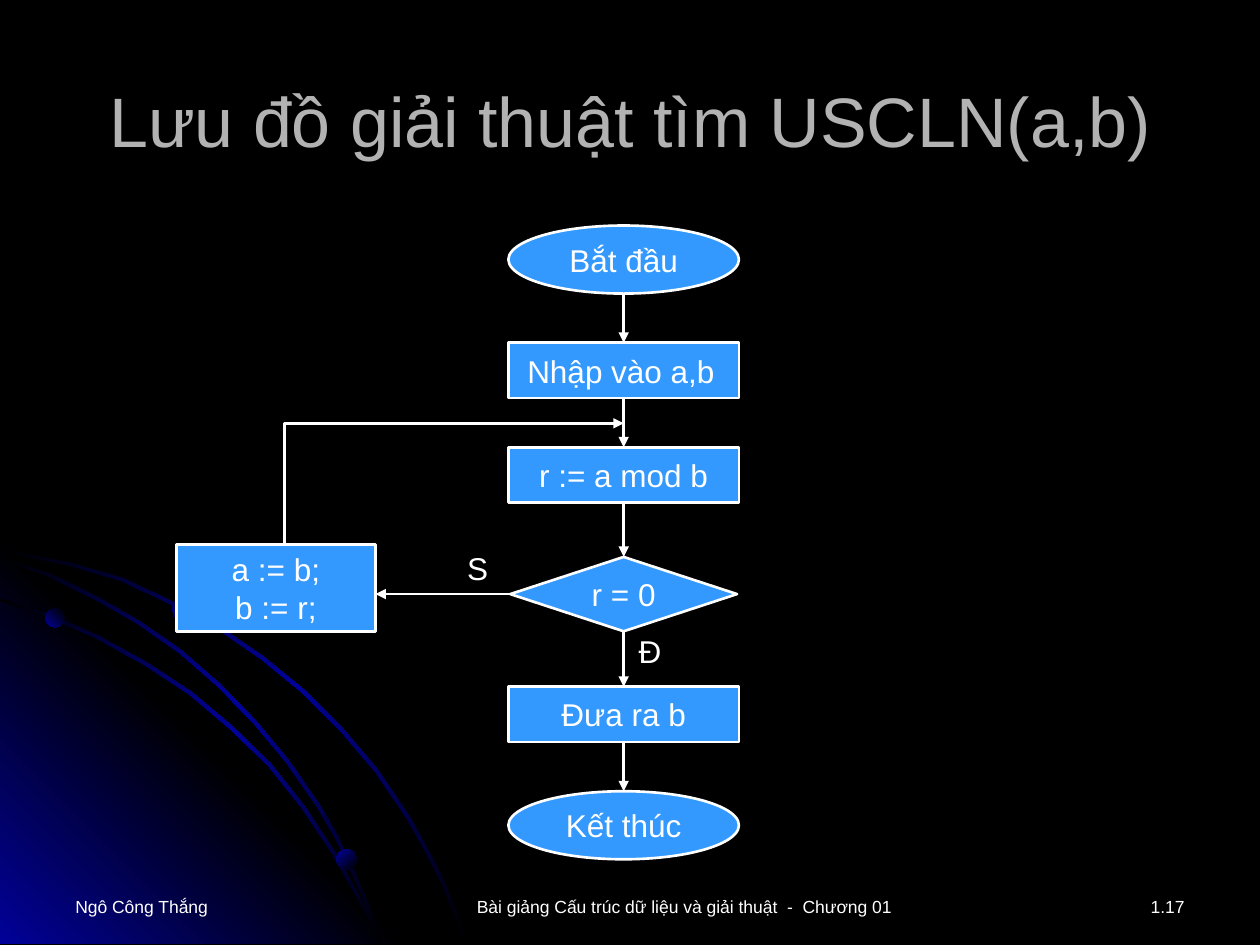
from lxml import etree
from pptx import Presentation
from pptx.dml.color import RGBColor
from pptx.enum.shapes import MSO_CONNECTOR, MSO_SHAPE
from pptx.enum.text import MSO_ANCHOR, PP_ALIGN
from pptx.oxml.ns import qn
from pptx.util import Inches, Pt

OVAL, RECT, DIAMOND = MSO_SHAPE.OVAL, MSO_SHAPE.RECTANGLE, MSO_SHAPE.DIAMOND
STRAIGHT = MSO_CONNECTOR.STRAIGHT
LEFT, MID, RIGHT = PP_ALIGN.LEFT, PP_ALIGN.CENTER, PP_ALIGN.RIGHT
TOP, MIDDLE = MSO_ANCHOR.TOP, MSO_ANCHOR.MIDDLE

BLACK = RGBColor(0x00, 0x00, 0x00)
NAVY = RGBColor(0x01, 0x01, 0x99)
BLUE = RGBColor(0x33, 0x99, 0xFF)
WHITE = RGBColor(0xFF, 0xFF, 0xFF)
GREY = RGBColor(0xB2, 0xB2, 0xB2)

COLS, ROWS = 100, 75
AXIS = 49.5      # column of the main flow
BOTTOM = 74.9    # row where the arcs end

OUTER = [(0, 43.5), (2.8, 44.1), (5.7, 44.7), (9.8, 45.9), (13.6, 47.7),
         (17.4, 49.7), (20.9, 52.1), (24.2, 54.8), (27.2, 57.8),
         (30, 61.1), (32.5, 64.8), (33.9, 67.3), (35.2, 69.8),
         (36.2, 72.3), (37.2, BOTTOM)]
INNER = [(0, 47.5), (4.1, 48.8), (7.9, 50.5), (11.7, 52.6), (15.2, 54.9),
         (18.4, 57.6), (21.5, 60.6), (24.2, 64), (26.6, 67.6),
         (28.6, 71.2), (29.6, 73), (30.3, BOTTOM)]
MIDWAY = [(0, 44.2), (3.9, 45.5), (7.6, 47.3), (11.1, 49.3), (14.4, 51.6),
          (17.5, 54.3), (20.4, 57.3), (22.9, 60.3), (25.4, 63.9),
          (26.9, 66.5), (28.2, 69.3), (29.4, 72), (30.3, BOTTOM)]


def grid(*cells):
    """Turn columns and rows into lengths."""
    return [Inches(cell / 10) for cell in cells]


def write(shape, text, size=18, color=WHITE, align=MID, anchor=MIDDLE):
    frame = shape.text_frame
    frame.word_wrap = True
    frame.vertical_anchor = anchor
    frame.text = text
    for par in frame.paragraphs:
        par.alignment = align
        par.font.size = Pt(size)
        par.font.name = "Arial"
        par.font.color.rgb = color


def label(slide, text, x, y, w, h, **style):
    write(slide.shapes.add_textbox(*grid(x, y, w, h)), text, **style)


def node(slide, kind, text, x, y, w, h, **style):
    """Add a flowchart step centred on column x and row y."""
    shape = slide.shapes.add_shape(kind, *grid(x - w / 2, y - h / 2, w, h))
    shape.shadow.inherit = False
    shape.fill.solid()
    shape.fill.fore_color.rgb = BLUE
    stroke(shape)
    frame = shape.text_frame
    frame.margin_top = frame.margin_bottom = 0
    write(shape, text, **style)
    return shape


def stroke(shape, arrow=False):
    shape.line.color.rgb = WHITE
    shape.line.width = Pt(1.5)
    if arrow:
        line = shape._element.spPr.find(qn("a:ln"))
        etree.SubElement(line, qn("a:tailEnd"), type="triangle")


def link(slide, start, end, source=None, target=None):
    """Draw an arrow; source and target are (shape, side) joints."""
    wire = slide.shapes.add_connector(STRAIGHT, *grid(*start, *end))
    if source:
        wire.begin_connect(*source)
    if target:
        wire.end_connect(*target)
    stroke(wire, arrow=True)
    etree.SubElement(wire._element.spPr, qn("a:effectLst"))


def outline(slide, points, close):
    first, *rest = [grid(*point) for point in points]
    pen = slide.shapes.build_freeform(*first)
    pen.add_line_segments(rest, close=close)
    shape = pen.convert_to_shape()
    shape.shadow.inherit = False
    return shape


def blend(shape, colors, angle):
    """Fill with evenly spaced colours; angle runs counter-clockwise."""
    shape.shadow.inherit = False
    shape.line.fill.background()
    shape.fill.gradient()
    shape.fill.gradient_angle = angle
    stops = shape._element.spPr.find(qn("a:gradFill")).find(qn("a:gsLst"))
    for stop in list(stops):
        stops.remove(stop)
    for i, color in enumerate(colors):
        pos = str(100000 * i // (len(colors) - 1))
        stop = etree.SubElement(stops, qn("a:gs"), pos=pos)
        etree.SubElement(stop, qn("a:srgbClr"), val=str(color))


def arc(slide, points):
    edge = [(max(x - 0.2, 0), min(y + 0.2, BOTTOM)) for x, y in points]
    band = outline(slide, points + edge[::-1], True)
    blend(band, [BLACK, NAVY, BLACK], 315)


def backdrop(slide):
    slide.background.fill.solid()
    slide.background.fill.fore_color.rgb = BLACK
    arc(slide, OUTER)
    corner = outline(slide, [(32.2, BOTTOM), (0, BOTTOM), (0, 42.7)], True)
    blend(corner, [NAVY, BLACK, NAVY], 45)
    arc(slide, INNER)
    arc(slide, MIDWAY)
    for x, y, size, angle in [(3.6, 48.3, 1.5, 45), (26.7, 67.4, 1.6, 315),
                              (13.7, 47.3, 2.1, 45)]:
        dot = slide.shapes.add_shape(OVAL, *grid(x, y, size, size))
        blend(dot, [NAVY, BLACK], angle)


def flow(slide):
    wide, oval, box = 18.3, 5.4, 4.4
    node(slide, OVAL, "Bắt đầu", AXIS, 20.6, wide, oval)
    enter = node(slide, RECT, "Nhập vào a,b", AXIS, 29.4, wide, box,
                 align=LEFT)
    enter.text_frame.margin_left = grid(1.5)[0]
    rest = node(slide, RECT, "r := a mod b", AXIS, 37.7, wide, box)
    test = node(slide, DIAMOND, "r = 0", AXIS, 47.15, 18, 5.9)
    show = node(slide, RECT, "Đưa ra b", AXIS, 56.7, wide, box)
    node(slide, OVAL, "Kết thúc", AXIS, 65.5, wide, oval)
    node(slide, RECT, "a := b;\nb := r;", 21.9, 46.65, 15.8, 6.9)

    link(slide, (AXIS, 23.3), (AXIS, 27.2), target=(enter, 0))
    for upper, lower in [(enter, rest), (rest, test), (test, show)]:
        link(slide, (AXIS, 0), (AXIS, 0), (upper, 2), (lower, 0))
    link(slide, (AXIS, 58.9), (AXIS, 62.8), source=(show, 2))
    link(slide, (40.5, 47.15), (29.8, 47.15), source=(test, 1))
    loop = outline(slide, [(22.6, 43.2), (22.6, 33.6), (AXIS, 33.6)], False)
    loop.fill.background()
    stroke(loop, arrow=True)

    label(slide, "Đ", 49.7, 49.7, 3.5, 4, anchor=TOP)
    label(slide, "S", 36.1, 43.1, 3.5, 4, anchor=TOP)


def main():
    deck = Presentation()
    deck.slide_width, deck.slide_height = grid(COLS, ROWS)
    slide = deck.slides.add_slide(deck.slide_layouts[5])
    backdrop(slide)
    title = slide.shapes.title
    title.left, title.top, title.width, title.height = grid(
        2.8, 2.8, 94.4, 13.4)
    write(title, "Lưu đồ giải thuật tìm USCLN(a,b)", size=40, color=GREY)
    flow(slide)
    for text, x, w, align in [
            ("Ngô Công Thắng", 5, 23.3, LEFT),
            ("Bài giảng Cấu trúc dữ liệu và giải thuật  -  Chương 01",
             29.6, 49.4, MID),
            ("1.17", 80.4, 14.6, RIGHT)]:
        label(slide, text, x, 70.6, w, 3, size=10, align=align, anchor=TOP)
    deck.save("out.pptx")


if __name__ == "__main__":
    main()
